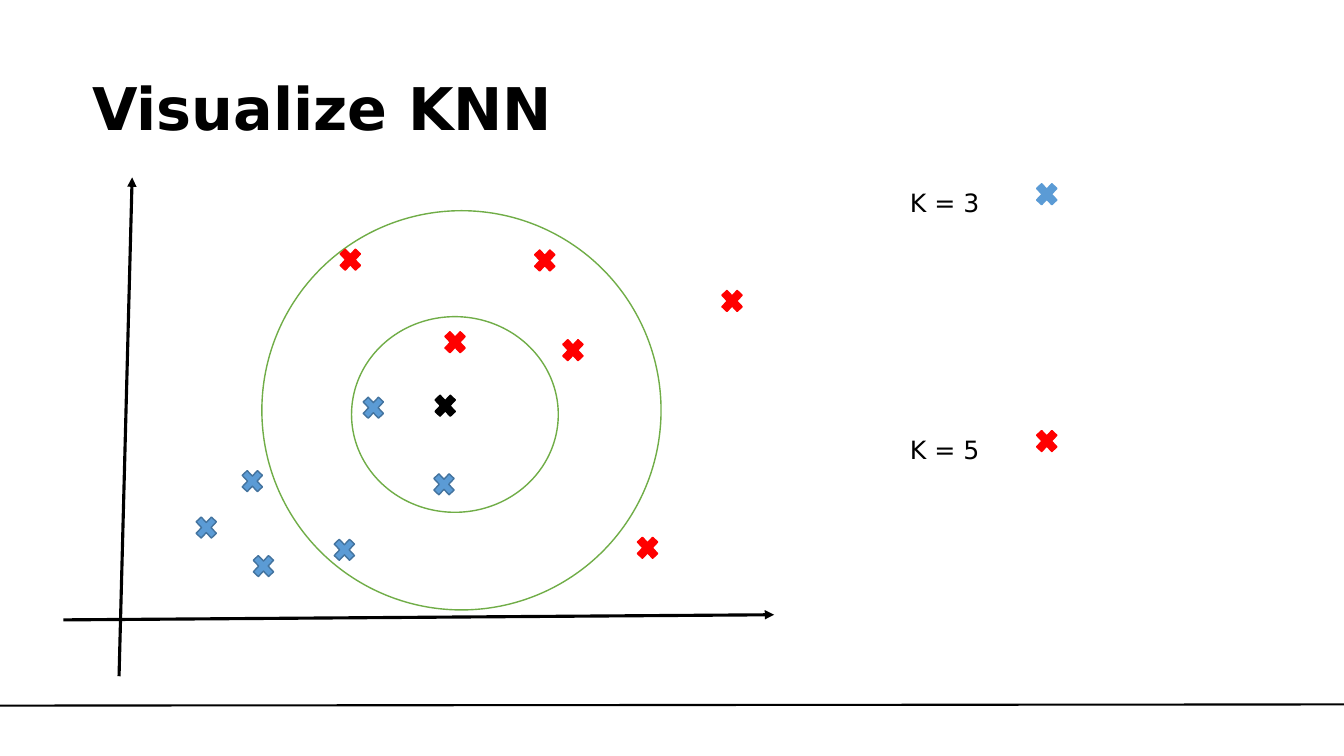
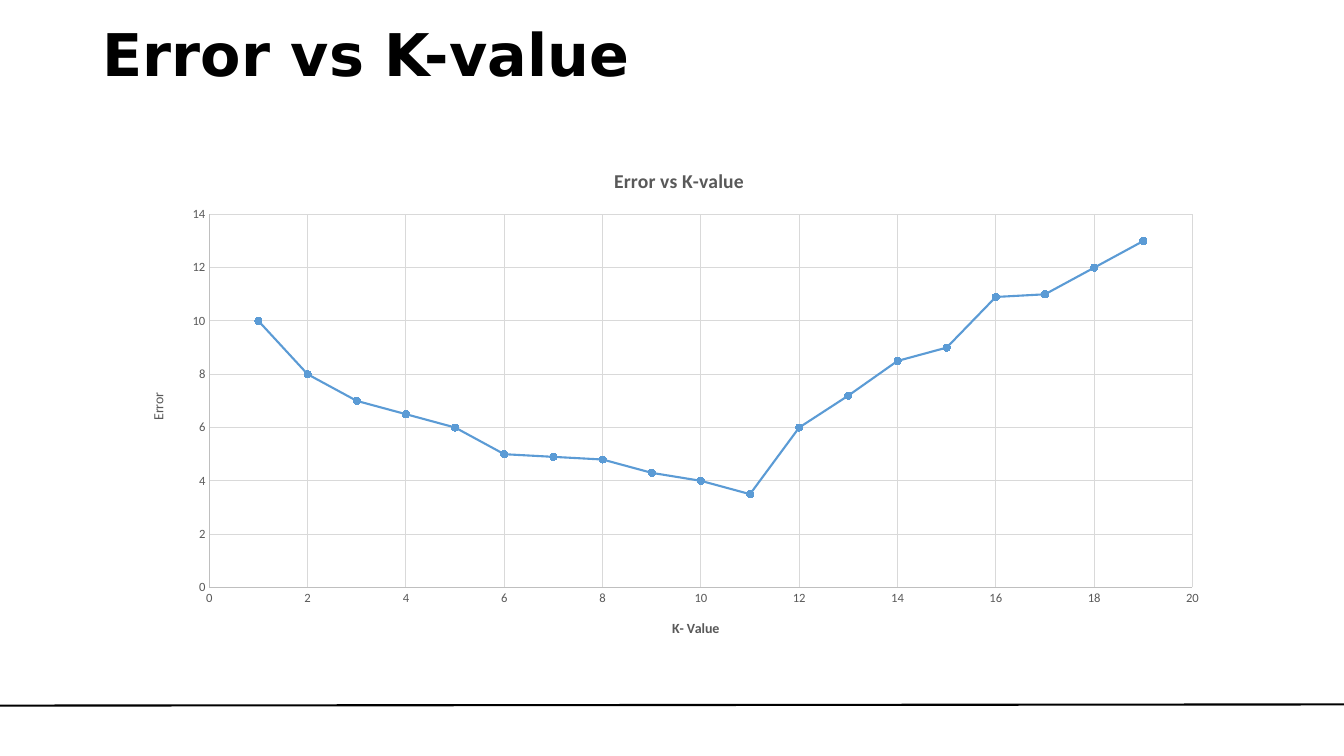
import pptx
import pptx.util
import pptx.oxml
import pptx.oxml.ns
import pptx.chart.data
import pptx.dml.color
import pptx.enum.chart
import pptx.enum.shapes
import pptx.enum.text
import lxml.etree

Cm, Pt = pptx.util.Cm, pptx.util.Pt
MARK = pptx.enum.shapes.MSO_SHAPE
COLOURS = {name: pptx.dml.color.RGBColor.from_string(value) for name, value in {
    "black": "000000", "white": "FFFFFF", "red": "FF0000", "blue": "5B9BD5",
    "blue edge": "43739E", "green": "70AD47", "label": "595959",
    "axis": "BFBFBF", "grid": "D9D9D9"}.items()}
TITLE_FONT = "DejaVu Sans"
CHART_FONT = "Calibri"

deck = pptx.Presentation()
deck.slide_width, deck.slide_height = Cm(33.87), Cm(19.05)


def add_line(page, start, end, width, arrow=False):
    line = page.shapes.add_connector(
        pptx.enum.shapes.MSO_CONNECTOR.STRAIGHT, *map(Cm, start + end))
    line.line.color.rgb = COLOURS["black"]
    line.line.width = Pt(width)
    if arrow:
        outline = line.element.xpath(".//a:ln")[0]
        lxml.etree.SubElement(outline, pptx.oxml.ns.qn("a:tailEnd"), type="triangle")
    lxml.etree.SubElement(line.element.spPr, pptx.oxml.ns.qn("a:effectLst"))


def add_mark(page, kind, place, size, fill, edge):
    mark = page.shapes.add_shape(kind, *map(Cm, place + size))
    mark.shadow.inherit = False
    mark.fill.solid()
    mark.fill.fore_color.rgb = COLOURS[fill]
    mark.line.color.rgb = COLOURS[edge]
    mark.line.width = Pt(1)


# Pages with title and footer rule; the last number is the gap below the title
titles = [
    ("Visualize KNN", 2.08, 0.48, 3.25, 0.13),
    ("Error vs K-value", 2.34, 0, 4.19, 1.93),
]
pages = []
for title, left, top, height, gap in titles:
    page = deck.slides.add_slide(deck.slide_layouts[6])
    pages.append(page)
    box = page.shapes.add_textbox(Cm(left), Cm(top), Cm(27.97), Cm(height))
    frame = box.text_frame
    frame.word_wrap = True
    frame.vertical_anchor = pptx.enum.text.MSO_ANCHOR.BOTTOM
    frame.margin_bottom = Cm(gap)
    para = frame.paragraphs[0]
    para.text = title
    para.line_spacing = 0.9
    para.font.name, para.font.size, para.font.bold = TITLE_FONT, Pt(42), True
    para.font.color.rgb = COLOURS["black"]
    add_line(page, (33.87, 17.75), (0, 17.78), 1.5)
knn_page, error_page = pages

# Neighbourhood circles and axes
for place, size in [((6.6, 5.31), (10.06, 10.06)), ((8.86, 7.98), (5.21, 4.93))]:
    add_mark(knn_page, MARK.OVAL, place, size, "white", "green")
add_line(knn_page, (1.6, 15.62), (19.51, 15.49), 2.25, arrow=True)
add_line(knn_page, (3, 17.04), (3.33, 4.47), 2.25, arrow=True)

# Data points of both classes, the new point and the two results
points = [
    ("blue", "blue edge", [(4.83, 12.9), (6.27, 13.87), (5.99, 11.73),
                           (9.04, 9.88), (8.31, 13.46), (10.82, 11.81)]),
    ("red", "red", [(11.1, 8.23), (13.36, 6.17), (18.08, 7.19),
                    (14.07, 8.43), (8.46, 6.15), (15.95, 13.41)]),
    ("black", "black", [(10.85, 9.83)]),
    ("blue", "blue", [(26.01, 4.5)]),
    ("red", "red", [(26.01, 10.72)]),
]
for fill, edge, places in points:
    for place in places:
        add_mark(knn_page, MARK.MATH_MULTIPLY, place, (0.74, 0.79), fill, edge)

for label, top, height in [("K = 3 ", 4.22, 1.24), ("K = 5 ", 10.44, 1.42)]:
    box = knn_page.shapes.add_textbox(Cm(22.68), Cm(top), Cm(2.57), Cm(height))
    box.text_frame.word_wrap = True
    para = box.text_frame.paragraphs[0]
    para.text = label
    para.line_spacing = 1.5
    para.font.name, para.font.size = TITLE_FONT, Pt(18)
    para.font.color.rgb = COLOURS["black"]

# Error chart
errors = [10, 8, 7, 6.5, 6, 5, 4.9, 4.8, 4.3, 4, 3.5, 6, 7.2, 8.5, 9, 10.9, 11, 12, 13]
chart_data = pptx.chart.data.XyChartData()
error_series = chart_data.add_series("Series 1")
for k_value, error in enumerate(errors, start=1):
    error_series.add_data_point(k_value, error)
chart = error_page.shapes.add_chart(
    pptx.enum.chart.XL_CHART_TYPE.XY_SCATTER_LINES,
    Cm(3.35), Cm(3.73), Cm(27.53), Cm(12.88), chart_data).chart
chart.has_legend = False
chart.font.name, chart.font.size = CHART_FONT, Pt(10)
chart.plots[0].vary_by_categories = False

series = chart.plots[0].series[0]
series.smooth = False
series.format.line.color.rgb = COLOURS["blue"]
series.format.line.width = Pt(1.5)
series.marker.style = pptx.enum.chart.XL_MARKER_STYLE.CIRCLE
series.marker.size = 5
series.marker.format.fill.solid()
series.marker.format.fill.fore_color.rgb = COLOURS["blue"]
series.marker.format.line.color.rgb = COLOURS["blue"]

# Axes
for axis, maximum in [(chart.category_axis, 20), (chart.value_axis, 14)]:
    axis.minimum_scale, axis.maximum_scale, axis.major_unit = 0, maximum, 2
    axis.major_tick_mark = axis.minor_tick_mark = pptx.enum.chart.XL_TICK_MARK.NONE
    axis.has_major_gridlines = True
    for line, colour in [(axis.format.line, "axis"),
                         (axis.major_gridlines.format.line, "grid")]:
        line.color.rgb = COLOURS[colour]
        line.width = Pt(0.75)
    axis.tick_labels.font.name, axis.tick_labels.font.size = CHART_FONT, Pt(9)
    axis.tick_labels.font.color.rgb = COLOURS["label"]
    axis.tick_labels.number_format = "General"
    axis.tick_labels.number_format_is_linked = False

# Chart and axis titles
chart_titles = [
    (chart.chart_title, "Error vs K-value", 14, True),
    (chart.category_axis.axis_title, "K- Value", 10, True),
    (chart.value_axis.axis_title, "Error", 10, False),
]
for heading, text, size, bold in chart_titles:
    para = heading.text_frame.paragraphs[0]
    para.text = text
    para.font.name, para.font.size, para.font.bold = CHART_FONT, Pt(size), bold
    para.font.color.rgb = COLOURS["label"]
    heading.include_in_layout = False
chart.value_axis.axis_title.element.xpath(".//a:bodyPr")[0].set("rot", "-5400000")

# Plot area as fractions of the chart
plot_area = chart.element.xpath(".//c:plotArea")[0]
for layout in plot_area.xpath("c:layout"):
    plot_area.remove(layout)
layout = lxml.etree.Element(pptx.oxml.ns.qn("c:layout"))
manual = lxml.etree.SubElement(layout, pptx.oxml.ns.qn("c:manualLayout"))
for tag, value in [("layoutTarget", "inner"), ("xMode", "edge"), ("yMode", "edge"),
                   ("x", "0.07"), ("y", "0.13"), ("w", "0.9"), ("h", "0.73")]:
    lxml.etree.SubElement(manual, pptx.oxml.ns.qn("c:" + tag), val=value)
plot_area.insert(0, layout)

deck.save("out.pptx")
